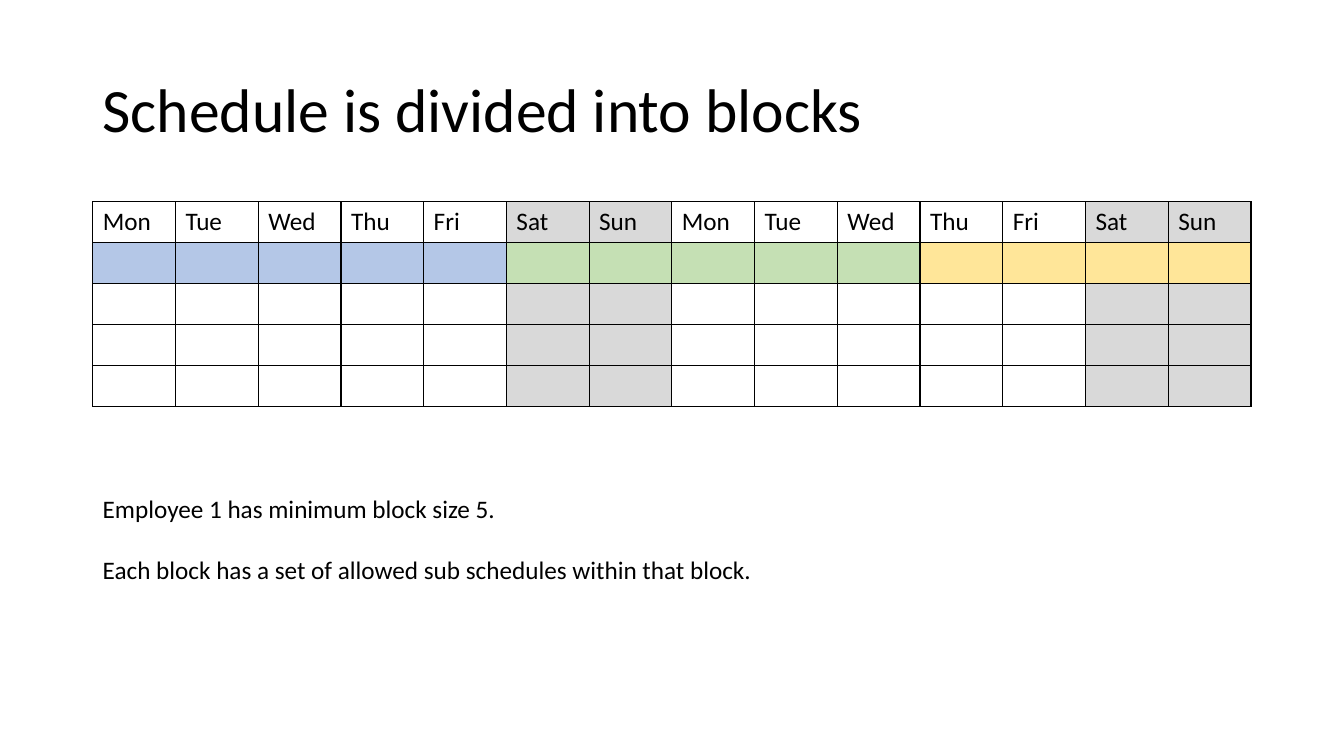
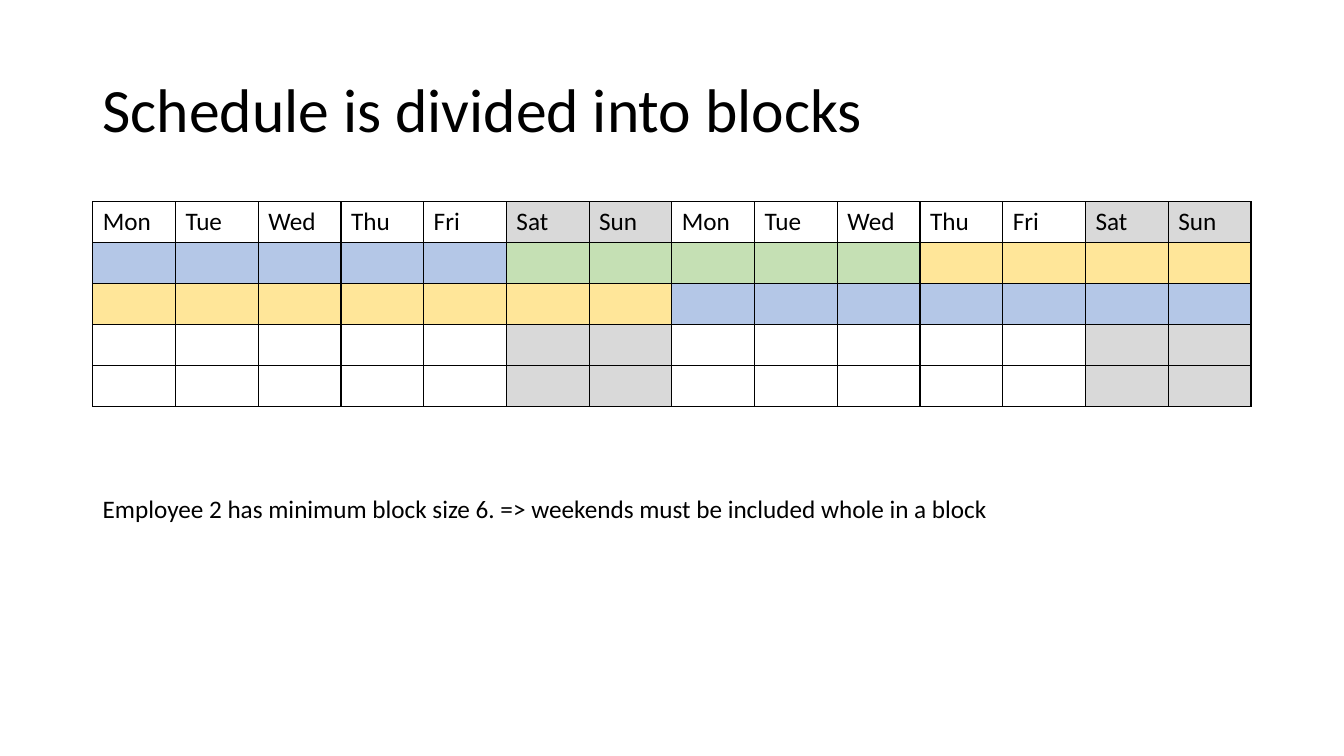
"""Build two slides showing how a schedule is divided into blocks."""
from dataclasses import dataclass

from lxml import etree
from pptx import Presentation
from pptx import util as u
from pptx.dml.color import RGBColor
from pptx.enum import text
from pptx.oxml.ns import qn


@dataclass(frozen=True)
class Theme:
    """Colours, type sizes and grid measures of the deck."""
    font: str = "Calibri"
    ink: str = "000000"
    weekend: str = "D9D9D9"
    blue: str = "B4C7E7"
    green: str = "C5E0B4"
    yellow: str = "FFE699"
    title_size: int = 44
    body_size: int = 18
    body_gap: int = 22
    border: int = 1
    width: float = 13.33
    height: float = 7.5
    margin: float = 0.92
    table_top: float = 2
    table_height: float = 2.03
    columns: int = 14
    rows: int = 5


THEME = Theme()
WEEK = ["Mon", "Tue", "Wed", "Thu", "Fri", "Sat", "Sun"]
TITLE = "Schedule is divided into blocks"
EMPLOYEE_1 = [(THEME.blue, 5), (THEME.green, 5), (THEME.yellow, 4)]
EMPLOYEE_2 = [(THEME.yellow, 7), (THEME.blue, 7)]
SLIDES = [
    ([EMPLOYEE_1],
     ["Employee 1 has minimum block size 5.",
      "Each block has a set of allowed sub schedules within that block."]),
    ([EMPLOYEE_1, EMPLOYEE_2],
     ["Employee 2 has minimum block size 6. => weekends must be included whole in a block"]),
]


def write(paragraph, content, *, size, spacing=None, before=0):
    """Put formatted text into a paragraph."""
    if spacing:
        paragraph.line_spacing = spacing
    if before:
        paragraph.space_before = u.Pt(before)
    span = paragraph.add_run()
    span.text = content
    span.font.name = THEME.font
    span.font.size = u.Pt(size)
    span.font.color.rgb = RGBColor.from_string(THEME.ink)


class Schedule:
    """Draw schedule pages on a grid whose row 0 is the top of the table."""

    def __init__(self, theme):
        """Open an empty deck."""
        self.theme = theme
        self.deck = Presentation()
        self.deck.slide_width = u.Inches(theme.width)
        self.deck.slide_height = u.Inches(theme.height)
        self.column = (theme.width - 2 * theme.margin) / theme.columns
        self.row = theme.table_height / theme.rows
        self.page = None

    def add_page(self):
        """Start a new blank slide."""
        self.page = self.deck.slides.add_slide(self.deck.slide_layouts[6])

    def area(self, row, rows):
        """Return the full-width area covering some grid rows."""
        theme = self.theme
        return (u.Inches(theme.margin), u.Inches(theme.table_top + row * self.row),
                u.Inches(self.column * theme.columns), u.Inches(rows * self.row))

    def add_text(self, lines, row, rows, *, anchor=text.MSO_ANCHOR.TOP, **style):
        """Add a text box with one paragraph per line."""
        frame = self.page.shapes.add_textbox(*self.area(row, rows)).text_frame
        frame.word_wrap = True
        frame.vertical_anchor = anchor
        for index, line in enumerate(lines):
            paragraph = frame.add_paragraph() if index else frame.paragraphs[0]
            write(paragraph, line, before=self.theme.body_gap if index else 0, **style)

    def add_title(self, content):
        """Add the slide title."""
        self.add_text([content], -3.95, 3.57, anchor=text.MSO_ANCHOR.MIDDLE,
                      size=self.theme.title_size, spacing=0.9)

    def style_cell(self, cell, fill):
        """Outline a cell and set or clear its fill."""
        properties = cell._tc.get_or_add_tcPr()
        for side in ("a:lnL", "a:lnR", "a:lnT", "a:lnB"):
            line = etree.SubElement(properties, qn(side), w=str(u.Pt(self.theme.border)))
            paint = etree.SubElement(line, qn("a:solidFill"))
            etree.SubElement(paint, qn("a:srgbClr"), val=self.theme.ink)
        if fill:
            cell.fill.solid()
            cell.fill.fore_color.rgb = RGBColor.from_string(fill)
        else:
            cell.fill.background()

    def add_calendar(self, employees):
        """Add a two-week table with the blocks of each employee."""
        theme = self.theme
        days = WEEK * 2
        plain = [theme.weekend if day in WEEK[5:] else None for day in days]
        blocks = [[colour for colour, length in employee for _ in range(length)]
                  for employee in employees]
        fills = [plain, *blocks] + [plain] * (theme.rows - 1 - len(blocks))
        table = self.page.shapes.add_table(
            theme.rows, theme.columns, *self.area(0, theme.rows)).table
        table.first_row = table.horz_banding = False
        for row, colours in enumerate(fills):
            for column, colour in enumerate(colours):
                self.style_cell(table.cell(row, column), colour)
        for column, day in enumerate(days):
            write(table.cell(0, column).text_frame.paragraphs[0], day, size=theme.body_size)


def main():
    """Build and save the deck."""
    schedule = Schedule(THEME)
    for employees, notes in SLIDES:
        schedule.add_page()
        schedule.add_title(TITLE)
        schedule.add_calendar(employees)
        schedule.add_text(notes, 7, 1.5 * len(notes) - 0.5, size=THEME.body_size)
    schedule.deck.save("out.pptx")


if __name__ == "__main__":
    main()
